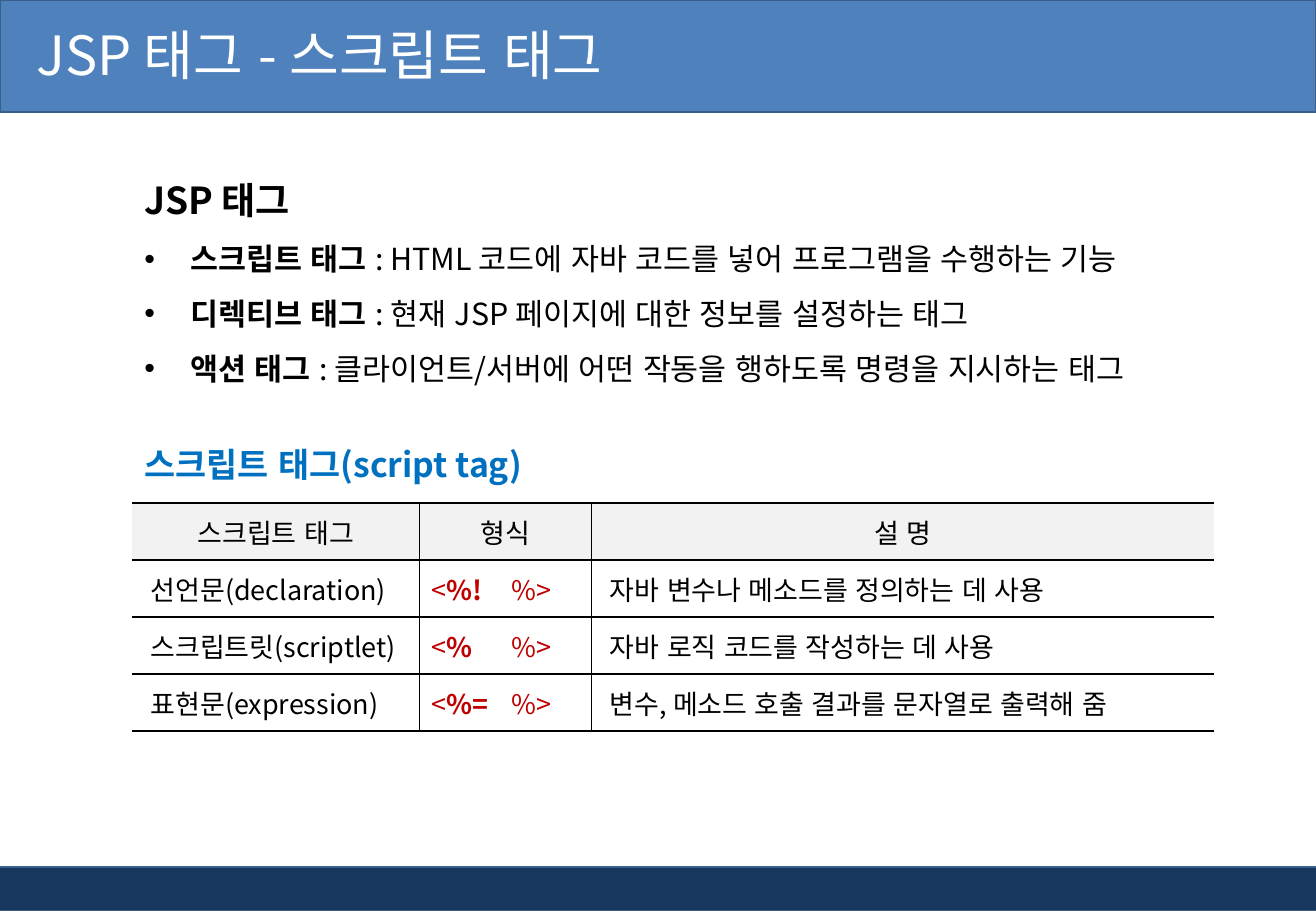
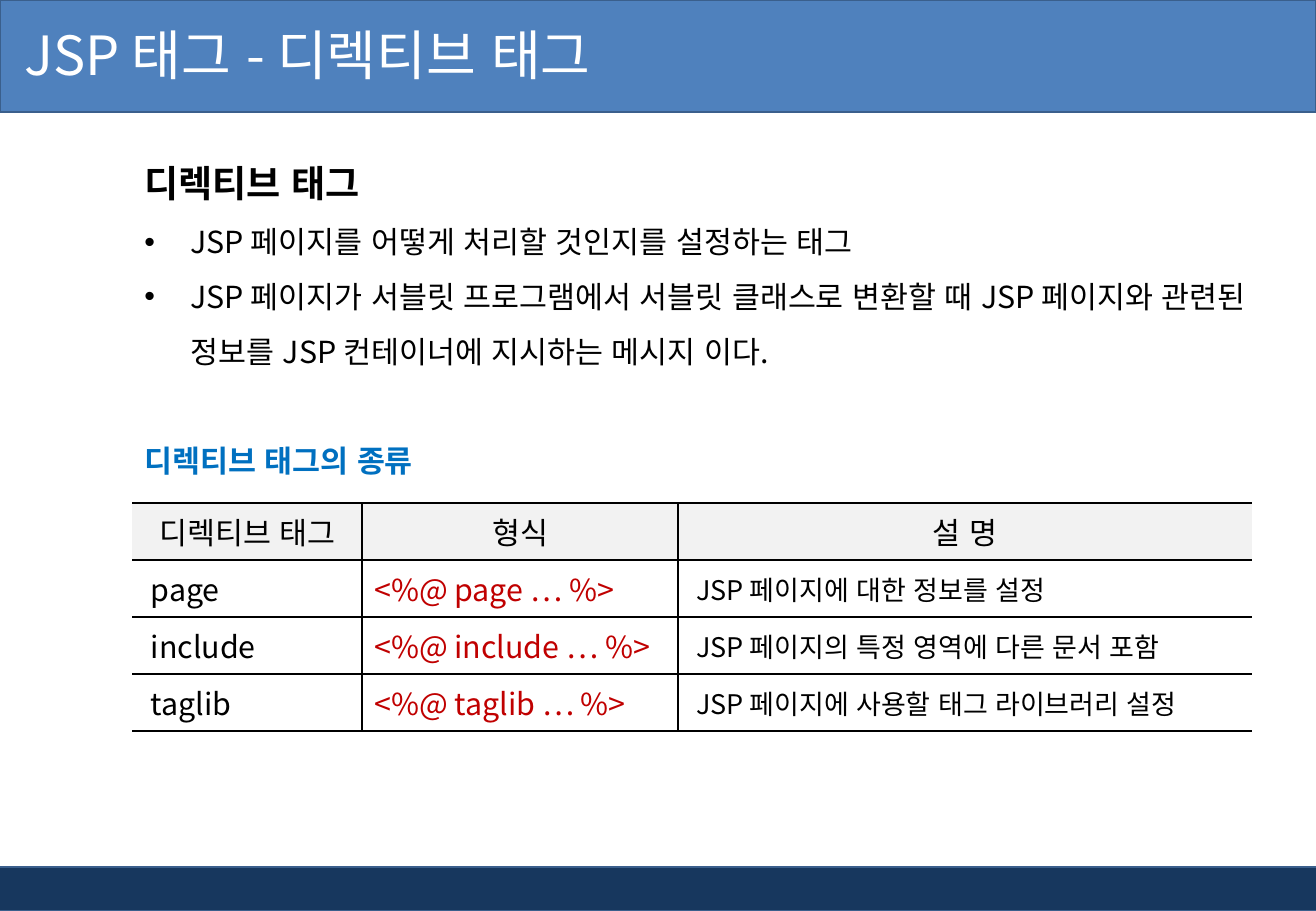
from lxml.etree import SubElement
from pptx import Presentation
from pptx.dml.color import RGBColor
from pptx.enum.lang import MSO_LANGUAGE_ID as Language
from pptx.enum.shapes import MSO_SHAPE as Shape
from pptx.enum.text import MSO_ANCHOR as Anchor, MSO_AUTO_SIZE as AutoSize, PP_ALIGN as Align
from pptx.oxml.ns import qn
from pptx.util import Inches, Pt

COLORS = {
    "band": "4F81BD", "footer": "17375E", "band_line": "3A5F8C",
    "title": "FFFFFF", "text": "000000", "heading": "0070C0",
    "code": "C00000", "header": "F2F2F2", "rule": "000000",
}
FONT = "Noto Sans CJK KR"
WIDTH, HEIGHT = 10.83, 7.5
LEFT = 1.09
TABLE_TOP, ROW_HEIGHT = 4.14, 0.47


def color(name):
    return RGBColor.from_string(COLORS[name])


def write(para, text, size=18, ink="text", bold=False):
    """Add a string, or a list of (string, bold) pairs, to a paragraph."""
    spans = [(text, bold)] if isinstance(text, str) else text
    for words, heavy in spans:
        span = para.add_run()
        span.text = words
        font = span.font
        font.name, font.size, font.bold = FONT, Pt(size), heavy
        font.language_id = Language.KOREAN
        font.color.rgb = color(ink)
        SubElement(font._element, qn("a:ea"), typeface=FONT)


def set_bullet(para):
    props = para._p.get_or_add_pPr()
    props.set("marL", str(Inches(0.38)))
    props.set("indent", str(Inches(-0.38)))
    SubElement(props, qn("a:buFont"), typeface="Arial")
    SubElement(props, qn("a:buChar"), char="•")


def set_tab(para, position):
    tabs = SubElement(para._p.get_or_add_pPr(), qn("a:tabLst"))
    SubElement(tabs, qn("a:tab"), pos=str(Inches(position)), algn="l")


def set_borders(cell, sides):
    """Rule the sides named by letters out of LRTB and clear the others."""
    props = cell._tc.get_or_add_tcPr()
    for side in "LRTB":
        line = SubElement(props, qn(f"a:ln{side}"), w=str(Pt(1)))
        if side in sides:
            fill = SubElement(line, qn("a:solidFill"))
            SubElement(fill, qn("a:srgbClr"), val=COLORS["rule"])
        else:
            SubElement(line, qn("a:noFill"))


class Lesson:
    def __init__(self):
        self.deck = Presentation()
        self.deck.slide_width, self.deck.slide_height = Inches(WIDTH), Inches(HEIGHT)
        self.page = None

    def add_page(self, title, indent):
        self.page = self.deck.slides.add_slide(self.deck.slide_layouts[6])
        self.band(-0.04, 7.14, 10.88, 0.36, "footer")
        self.band(0, 0, WIDTH, 0.92, "band")
        frame = self.text_frame(0, -0.03, 8.74, 0.94)
        frame.vertical_anchor = Anchor.MIDDLE
        frame.margin_left = Inches(indent)
        write(frame.paragraphs[0], title, size=32, ink="title")

    def band(self, left, top, width, height, fill):
        bar = self.page.shapes.add_shape(
            Shape.RECTANGLE, Inches(left), Inches(top), Inches(width), Inches(height))
        bar.shadow.inherit = False
        bar.fill.solid()
        bar.fill.fore_color.rgb = color(fill)
        bar.line.color.rgb = color("band_line")
        bar.line.width = Pt(1)

    def text_frame(self, left, top, width, height):
        box = self.page.shapes.add_textbox(
            Inches(left), Inches(top), Inches(width), Inches(height))
        box.text_frame.word_wrap = True
        return box.text_frame

    def section(self, top, width, height, heading, bullets=(), **style):
        """Place a bold heading with bulleted lines below it."""
        frame = self.text_frame(LEFT, top, width, height)
        frame.auto_size = AutoSize.SHAPE_TO_FIT_TEXT
        para = frame.paragraphs[0]
        para.line_spacing = 1.5
        write(para, heading, bold=True, **style)
        for bullet in bullets:
            para = frame.add_paragraph()
            set_bullet(para)
            para.line_spacing = 1.5
            write(para, bullet)

    def table(self, widths, rows, size, tab=None):
        """Draw a header row, then rows of name, code and description."""
        grid = self.page.shapes.add_table(
            len(rows), len(widths), Inches(LEFT), Inches(TABLE_TOP),
            Inches(sum(widths)), Inches(ROW_HEIGHT * len(rows))).table
        grid.first_row = grid.horz_banding = False
        for column, width in zip(grid.columns, widths):
            column.width = Inches(width)
        sizes = (size, size, 16)
        for r, row in enumerate(rows):
            grid.rows[r].height = Inches(ROW_HEIGHT)
            for c, text in enumerate(row):
                cell = grid.cell(r, c)
                cell.vertical_anchor = Anchor.MIDDLE
                set_borders(cell, ("RTB", "LRTB", "LTB")[c])
                para = cell.text_frame.paragraphs[0]
                if r == 0:
                    cell.fill.solid()
                    cell.fill.fore_color.rgb = color("header")
                    para.alignment = Align.CENTER
                    write(para, text, size=size)
                    continue
                cell.fill.background()
                is_code = c == 1
                cell.margin_left = Inches(0.1 if is_code else 0.15)
                if is_code and tab:
                    set_tab(para, tab)
                write(para, text, size=sizes[c], ink="code" if is_code else "text")


def script_code(mark):
    return [("<", False), (f"{mark}\t", True), ("%>", False)]


def main():
    lesson = Lesson()

    lesson.add_page("JSP 태그 - 스크립트 태그", indent=0.3)
    lesson.section(3.44, 9.06, 0.54, "스크립트 태그(script tag)", size=20, ink="heading")
    lesson.table((2.36, 1.42, 5.12), [
        ("스크립트 태그", "형식", "설 명"),
        ("선언문(declaration)", script_code("%!"), "자바 변수나 메소드를 정의하는 데 사용"),
        ("스크립트릿(scriptlet)", script_code("%"), "자바 로직 코드를 작성하는 데 사용"),
        ("표현문(expression)", script_code("%="), "변수, 메소드 호출 결과를 문자열로 출력해 줌"),
    ], size=16, tab=0.66)
    lesson.section(1.23, 9.06, 2.02, "JSP 태그", [
        [("스크립트 태그 ", True), (": HTML 코드에 자바 코드를 넣어 프로그램을 수행하는 기능", False)],
        [("디렉티브 태그 ", True), (": 현재 JSP 페이지에 대한 정보를 설정하는 태그", False)],
        [("액션 태그 ", True), (": 클라이언트/서버에 어떤 작동을 행하도록 명령을 지시하는 태그", False)],
    ], size=22)

    lesson.add_page("JSP 태그 - 디렉티브 태그", indent=0.2)
    lesson.section(1.09, 9.53, 2.02, "디렉티브 태그", [
        "JSP 페이지를 어떻게 처리할 것인지를 설정하는 태그",
        "JSP 페이지가 서블릿 프로그램에서 서블릿 클래스로 변환할 때 JSP 페이지와 관련된 "
        "정보를 JSP 컨테이너에 지시하는 메시지 이다.",
    ], size=22)
    lesson.section(3.44, 9.06, 0.5, "디렉티브 태그의 종류", ink="heading")
    lesson.table((1.89, 2.6, 4.72), [
        ("디렉티브 태그", "형식", "설 명"),
        ("page", "<%@ page … %>", "JSP 페이지에 대한 정보를 설정"),
        ("include", "<%@ include … %>", "JSP 페이지의 특정 영역에 다른 문서 포함"),
        ("taglib", "<%@ taglib … %>", "JSP 페이지에 사용할 태그 라이브러리 설정"),
    ], size=18)

    lesson.deck.save("out.pptx")


if __name__ == "__main__":
    main()
